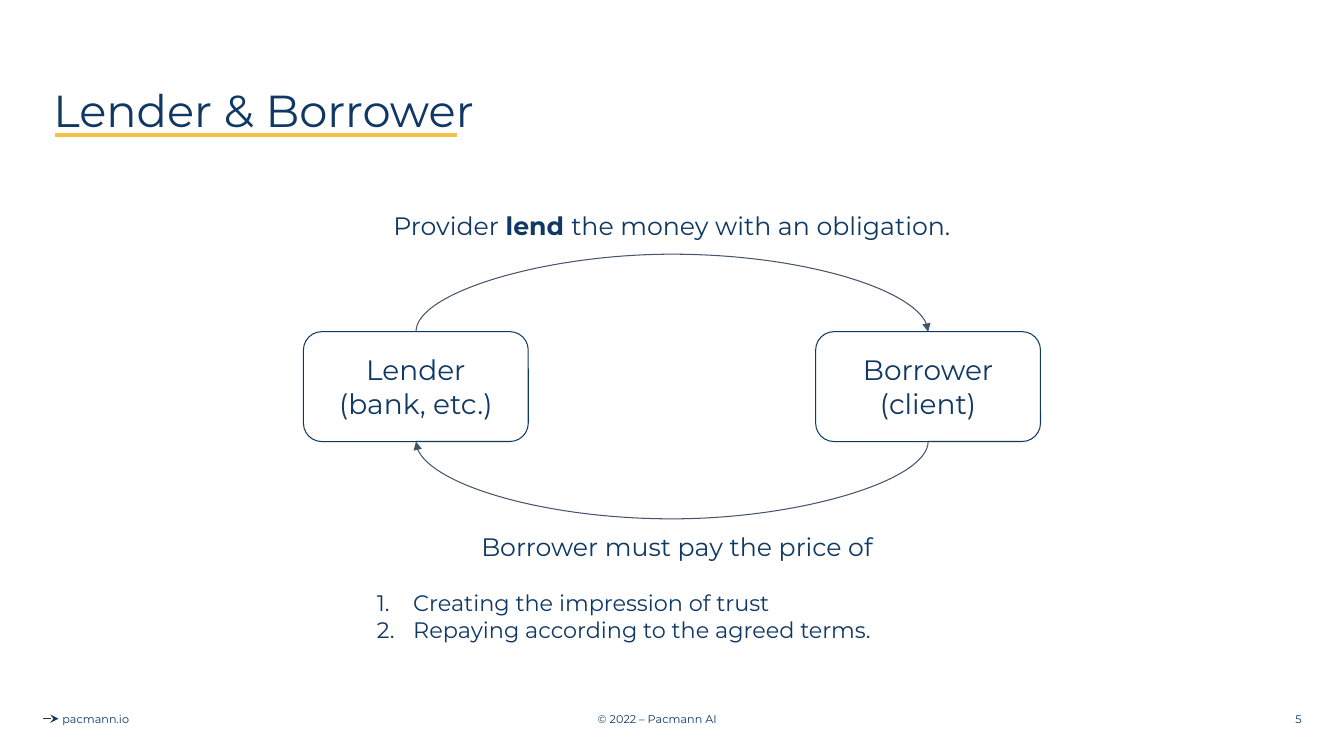
import pptx
import pptx.util
import pptx.dml.color
import pptx.enum.shapes
import pptx.enum.text
import pptx.oxml
import pptx.oxml.ns
from lxml import etree

Inches = pptx.util.Inches
Pt = pptx.util.Pt
Align = pptx.enum.text.PP_ALIGN
Anchor = pptx.enum.text.MSO_ANCHOR
Link = pptx.enum.shapes.MSO_CONNECTOR
qn = pptx.oxml.ns.qn


def color(code):
    return pptx.dml.color.RGBColor.from_string(code)


class Deck:
    font = "Montserrat"
    navy = "103864"
    gold = "F3C145"
    slate = "44546A"

    def __init__(self, wide, high):
        self.file = pptx.Presentation()
        self.file.slide_width = Inches(wide)
        self.file.slide_height = Inches(high)
        self.slide = self.file.slides.add_slide(self.file.slide_layouts[6])

    def style(self, para, size, align):
        para.alignment = align
        for run in para.runs:
            run.font.name = self.font
            run.font.size = Pt(size)
            run.font.color.rgb = color(self.navy)

    def fill(self, shape, lines, size, align, anchor, inset):
        frame = shape.text_frame
        frame.word_wrap = True
        frame.vertical_anchor = anchor
        frame.margin_left = frame.margin_right = Inches(0.1)
        frame.margin_top = frame.margin_bottom = Inches(inset)
        frame.text = "\n".join(lines)
        for para in frame.paragraphs:
            self.style(para, size, align)
        return frame

    def text(self, box, lines, size, align=Align.CENTER, anchor=Anchor.MIDDLE, inset=0.05):
        shape = self.slide.shapes.add_textbox(*map(Inches, box))
        return self.fill(shape, lines, size, align, anchor, inset)

    def node(self, left, lines):
        kind = pptx.enum.shapes.MSO_SHAPE.ROUNDED_RECTANGLE
        size = map(Inches, (left, 3.29, 2.23, 1.09))
        shape = self.slide.shapes.add_shape(kind, *size)
        shape.adjustments[0] = 0.167
        shape.shadow.inherit = False
        shape.fill.background()
        shape.line.color.rgb = color(self.navy)
        shape.line.width = Pt(0.75)
        self.fill(shape, lines, 20, Align.CENTER, Anchor.MIDDLE, 0.1)
        return shape

    def line(self, ends, shade, width, head=None, kind=Link.STRAIGHT):
        link = self.slide.shapes.add_connector(kind, *map(Inches, ends))
        link.line.color.rgb = color(shade)
        link.line.width = Pt(width)
        if head:
            etree.SubElement(link.line._get_or_add_ln(), qn("a:tailEnd"), type=head)
        etree.SubElement(link._element.spPr, qn("a:effectLst"))
        return link

    def curve(self, start, end, side, turn, bend, flip):
        link = self.line((0, 0, 1, 1), self.slate, 0.75, "triangle", Link.CURVE)
        link.begin_connect(start, side)
        link.end_connect(end, side)
        span = abs(end.left - start.left)
        edge = start.top + (start.height if side == 2 else 0)
        link.left = (start.left + end.left + start.width) // 2
        link.top = edge - span // 2
        link.width, link.height = Inches(0.001), span
        form = link._element.spPr.find(qn("a:xfrm"))
        for name in ("flipH", "flipV"):
            form.attrib.pop(name, None)
        form.set("rot", str(turn * 60000))
        if flip:
            form.set("flipH", "1")
        shape = link._element.spPr.find(qn("a:prstGeom"))
        guides = shape.get_or_add_avLst()
        rate = round(bend / 0.001 * 100000)
        etree.SubElement(guides, qn("a:gd"), name="adj1", fmla=f"val {rate}")

    def number(self, para):
        props = para._p.get_or_add_pPr()
        props.set("marL", str(Inches(0.5)))
        props.set("indent", str(Inches(-0.36)))
        tint = etree.SubElement(props, qn("a:buClr"))
        etree.SubElement(tint, qn("a:srgbClr"), val=self.navy)
        etree.SubElement(props, qn("a:buFont"), typeface=self.font)
        etree.SubElement(props, qn("a:buAutoNum"), type="arabicPeriod")
        self.style(para, 16, Align.LEFT)


def main():
    deck = Deck(13.33, 7.5)

    deck.line((0.43, 7.13, 0.58, 7.13), deck.navy, 0.75, "stealth")
    deck.text((4.27, 6.93, 4.5, 0.4), ["© 2022 – Pacmann AI"], 8)
    deck.text((-1.3, 6.93, 4.5, 0.4), ["pacmann.io"], 8)
    deck.text((10.01, 6.93, 3, 0.4), ["5"], 8, Align.RIGHT)

    deck.line((0.55, 1.34, 4.53, 1.34), deck.gold, 2.25)
    title = deck.text((0.43, 0.4, 12.59, 1.45), ["Lender & Borrower"], 32, Align.LEFT)
    title.paragraphs[0].line_spacing = 0.9

    lender = deck.node(3.01, ["Lender", "(bank, etc.)"])
    client = deck.node(8.09, ["Borrower", "(client)"])
    deck.curve(lender, client, 0, 270, -0.65, True)
    deck.curve(client, lender, 2, 90, 0.65, False)

    offer = deck.text((3.45, 1.99, 6.43, 0.5), ["Provider "], 18, anchor=Anchor.TOP, inset=0.1)
    para = offer.paragraphs[0]
    for part in ("lend ", "the money with an obligation."):
        para.add_run().text = part
    deck.style(para, 18, Align.CENTER)
    para.runs[1].font.bold = True

    price = deck.text(
        (3.5, 5.17, 6.43, 1.31),
        [
            "Borrower must pay the price of",
            "Creating the impression of trust",
            "Repaying according to the agreed terms.",
        ],
        18, anchor=Anchor.TOP, inset=0.1,
    )
    for para in price.paragraphs[1:]:
        deck.number(para)
    price.paragraphs[1].space_before = Pt(19.5)

    deck.file.save("out.pptx")


if __name__ == "__main__":
    main()
